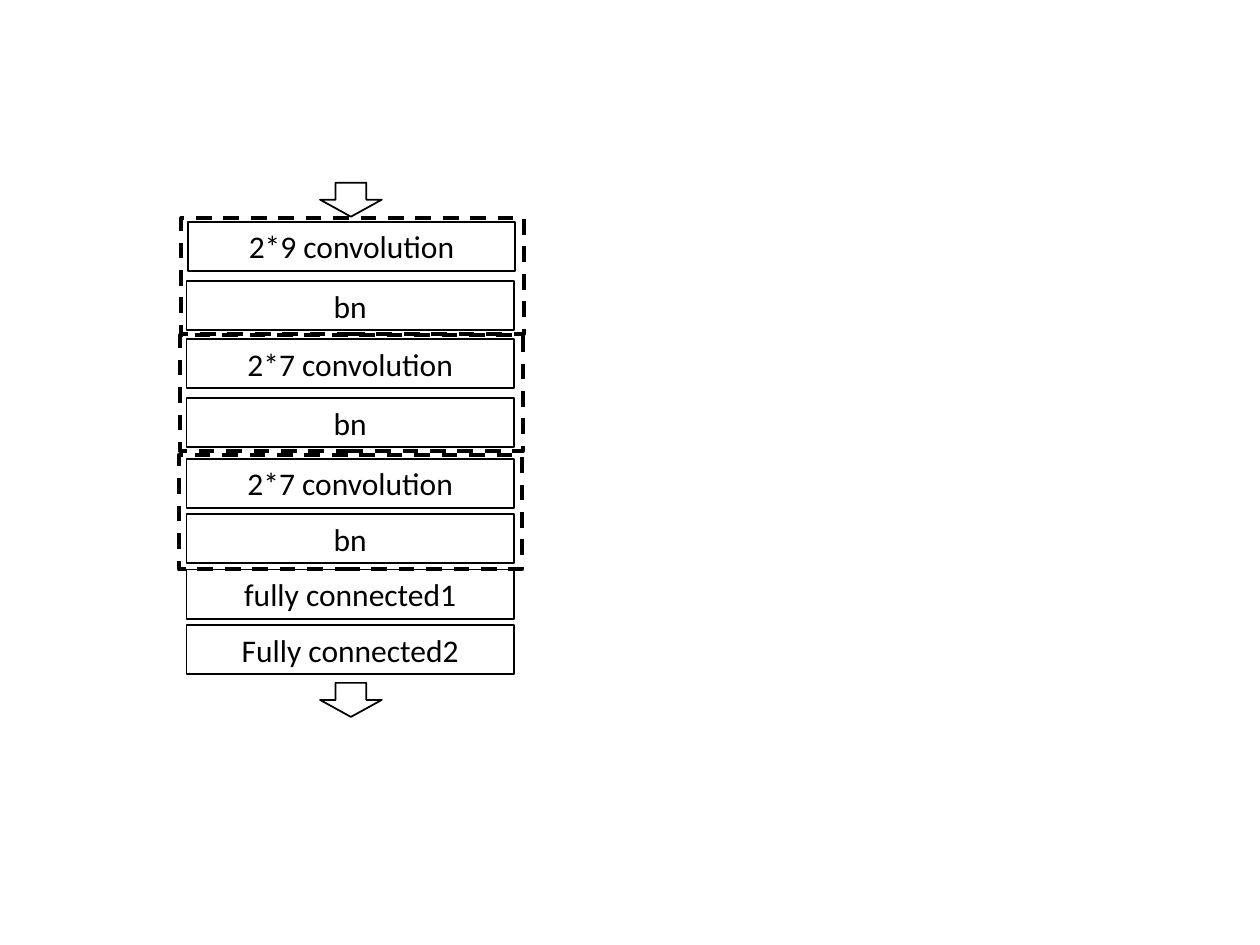
from pptx import Presentation
from pptx.dml.color import RGBColor
from pptx.enum.dml import MSO_LINE
from pptx.enum.shapes import MSO_SHAPE
from pptx.enum.text import MSO_ANCHOR, PP_ALIGN
from pptx.util import Inches, Pt

COLORS = {"ink": "000000", "paper": "FFFFFF"}


class Diagram:
    font = "Calibri"
    size = 18

    def __init__(self, slide):
        self.s = slide

    def color(self, name):
        return RGBColor.from_string(COLORS[name])

    def shape(self, kind, x, y, w, h, weight=1):
        sp = self.s.shapes.add_shape(kind, Inches(x), Inches(y), Inches(w), Inches(h))
        sp.shadow.inherit = False
        sp.fill.solid()
        sp.fill.fore_color.rgb = self.color("paper")
        sp.line.color.rgb = self.color("ink")
        sp.line.width = Pt(weight)
        return sp

    def layer(self, x, y, text):
        sp = self.shape(MSO_SHAPE.RECTANGLE, x, y, 2.6, 0.39)
        tf = sp.text_frame
        tf.word_wrap = True
        tf.vertical_anchor = MSO_ANCHOR.MIDDLE
        p = tf.paragraphs[0]
        p.alignment = PP_ALIGN.CENTER
        r = p.add_run()
        r.text = text
        r.font.name = self.font
        r.font.size = Pt(self.size)
        r.font.color.rgb = self.color("ink")

    def arrow(self, y):
        self.shape(MSO_SHAPE.DOWN_ARROW, 2.54, y, 0.49, 0.27)

    def block(self, x, y, h):
        sp = self.shape(MSO_SHAPE.RECTANGLE, x, y, 2.72, h, 2.25)
        sp.fill.background()
        sp.line.dash_style = MSO_LINE.DASH


def main():
    prs = Presentation()
    prs.slide_width, prs.slide_height = Inches(10), Inches(7.5)
    d = Diagram(prs.slides.add_slide(prs.slide_layouts[6]))

    layers = [
        (1.49, 1.76, "2*9 convolution"),
        (1.48, 2.23, "bn"),
        (1.48, 2.69, "2*7 convolution"),
        (1.48, 3.16, "bn"),
        (1.48, 3.64, "2*7 convolution"),
        (1.48, 4.08, "bn"),
        (1.48, 4.52, "fully connected1"),
        (1.48, 4.96, "Fully connected2"),
    ]
    for x, y, text in layers:
        d.layer(x, y, text)
    for y in (1.45, 5.42):
        d.arrow(y)
    for x, y, h in ((1.44, 1.73, 0.92), (1.43, 2.66, 0.92), (1.42, 3.61, 0.91)):
        d.block(x, y, h)

    prs.save("out.pptx")


if __name__ == "__main__":
    main()
